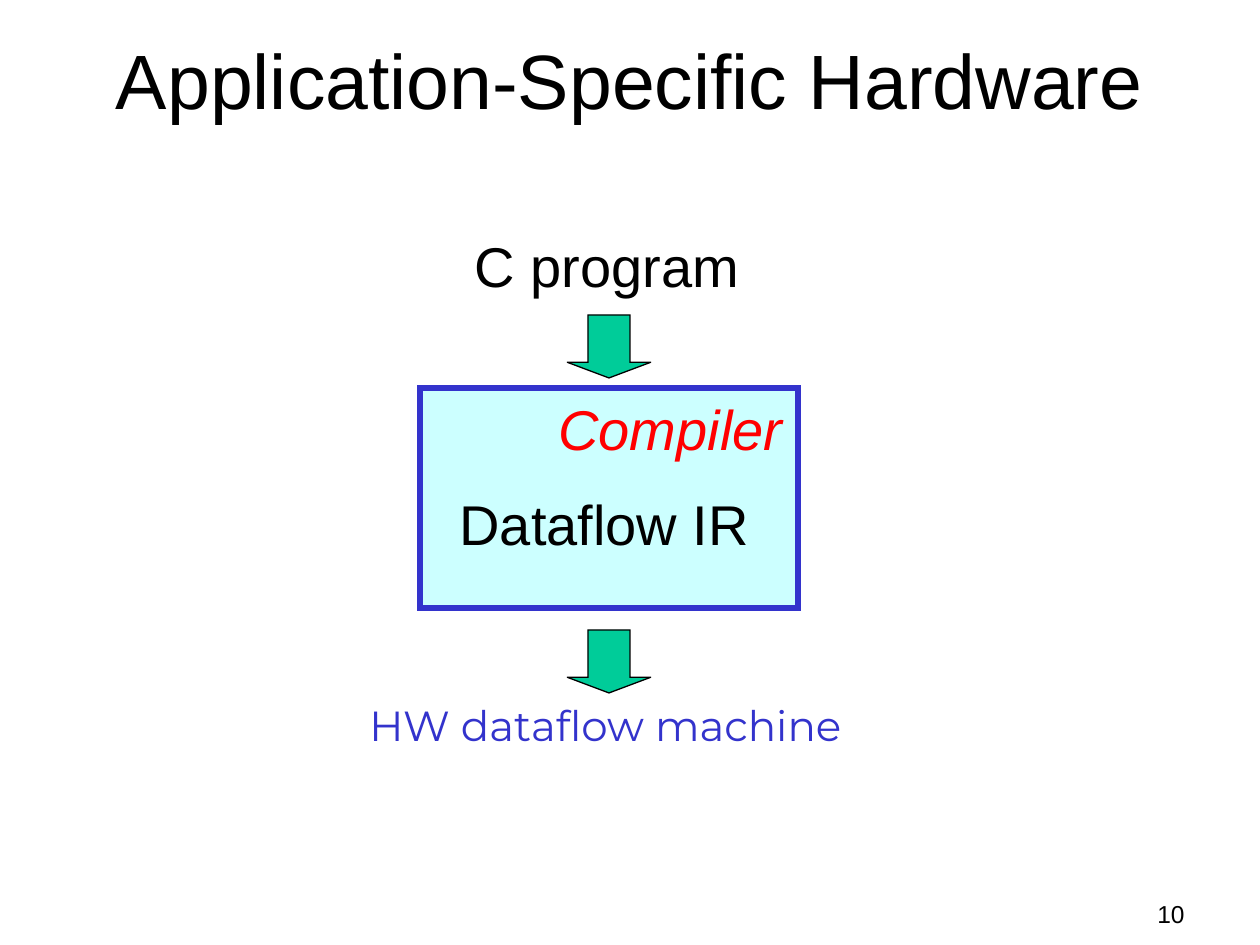
from lxml.etree import SubElement
from pptx import Presentation
from pptx.dml.color import RGBColor
from pptx.enum.shapes import MSO_SHAPE
from pptx.enum.text import MSO_ANCHOR, MSO_AUTO_SIZE, PP_ALIGN
from pptx.oxml.ns import qn
from pptx.util import Pt

PX = 914400 // 126
COLORS = {
    "black": "000000",
    "red": "FF0000",
    "blue": "3333CC",
    "cyan": "CCFFFF",
    "green": "00CC99",
}


def color(name):
    return RGBColor.from_string(COLORS[name])


def scale(box):
    return [n * PX for n in box]


def add_block(slide, kind, box, fill, line, width):
    shape = slide.shapes.add_shape(kind, *scale(box))
    shape.shadow.inherit = False
    shape.fill.solid()
    shape.fill.fore_color.rgb = color(fill)
    shape.line.color.rgb = color(line)
    shape.line.width = Pt(width)
    outline = shape.element.spPr.find(qn("a:ln"))
    SubElement(outline, qn("a:miter"), lim="800000")
    return shape


def add_arrow(slide, top):
    arrow = add_block(slide, MSO_SHAPE.DOWN_ARROW, (567, top, 84, 63),
                      "green", "black", 0.75)
    arrow.adjustments[0] = 0.5
    arrow.adjustments[1] = 0.25


def add_label(slide, text, box, size, ink="black", face="Arial",
              align=PP_ALIGN.LEFT, anchor=MSO_ANCHOR.TOP, wrap=False,
              italic=False):
    frame = slide.shapes.add_textbox(*scale(box)).text_frame
    frame.word_wrap = wrap
    if not wrap:
        frame.auto_size = MSO_AUTO_SIZE.SHAPE_TO_FIT_TEXT
    frame.vertical_anchor = anchor
    frame.text = text
    para = frame.paragraphs[0]
    para.alignment = align
    font = para.runs[0].font
    font.name = face
    font.size = Pt(size)
    font.italic = italic
    font.color.rgb = color(ink)


def main():
    deck = Presentation()
    deck.slide_width = 1260 * PX
    deck.slide_height = 945 * PX
    slide = deck.slides.add_slide(deck.slide_layouts[6])

    add_block(slide, MSO_SHAPE.RECTANGLE, (420, 388, 378, 220),
              "cyan", "blue", 3)
    add_label(slide, "Application-Specific Hardware", (94, 32, 1072, 94), 44,
              align=PP_ALIGN.CENTER, anchor=MSO_ANCHOR.MIDDLE, wrap=True)
    add_label(slide, "C program", (462, 225, 290, 81), 32)
    add_label(slide, "Compiler", (546, 388, 250, 81), 32, "red", italic=True)
    add_label(slide, "Dataflow IR", (447, 483, 315, 81), 32,
              align=PP_ALIGN.CENTER)
    for top in (315, 630):
        add_arrow(slide, top)
    add_label(slide, "HW dataflow machine", (357, 693, 504, 84), 24, "blue",
              "Montserrat")
    add_label(slide, "10", (1134, 893, 63, 52), 14, align=PP_ALIGN.RIGHT,
              wrap=True)

    deck.save("out.pptx")


if __name__ == "__main__":
    main()
